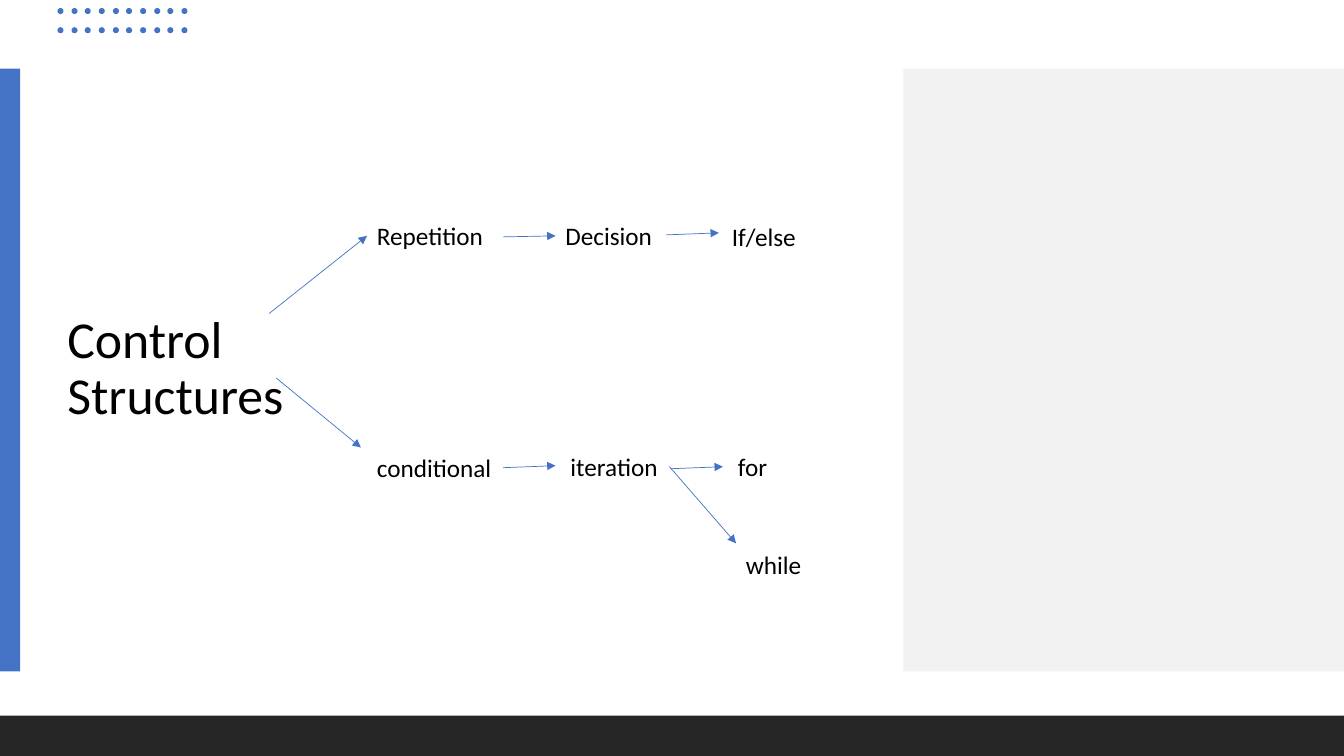
from lxml import etree
from pptx import Presentation
from pptx.dml.color import RGBColor
from pptx.enum.shapes import MSO_CONNECTOR, MSO_SHAPE
from pptx.enum.text import MSO_ANCHOR, MSO_AUTO_SIZE
from pptx.oxml.ns import qn
from pptx.util import Pt

RECT, OVAL = MSO_SHAPE.RECTANGLE, MSO_SHAPE.OVAL
STRAIGHT = MSO_CONNECTOR.STRAIGHT
TOP, MIDDLE = MSO_ANCHOR.TOP, MSO_ANCHOR.MIDDLE
GROW, FIXED = MSO_AUTO_SIZE.SHAPE_TO_FIT_TEXT, MSO_AUTO_SIZE.NONE
LEFT_SIDE, RIGHT_SIDE = 1, 3

THEME = {
    "font": "Calibri",
    "title": 37,
    "label": 18,
    "line": 0.5,
    "text": "000000",
    "accent": "4472C4",
    "footer": "262626",
    "panel": "F2F2F2",
}

SLIDE = (1333, 750)
TITLE = ("Control Structures", (57, 91, 268, 551))
BANDS = [
    ("accent", (0, 68, 20, 598)),
    ("footer", (0, 710, 1333, 40)),
    ("panel", (896, 68, 437, 598)),
]
DOTS = {"left": 57, "top": 8, "size": 6, "cols": 10, "rows": 2, "span": 123, "row_gap": 19}
LABEL_HEIGHT = 40
LABELS = {
    "Repetition": (364, 214, 127),
    "Decision": (551, 214, 107),
    "If/else": (716, 215, 84),
    "conditional": (364, 444, 135),
    "iteration": (556, 443, 108),
    "for": (722, 443, 49),
    "while": (730, 540, 76),
}
ARROWS = [
    ((267, 311), (364, 235), None, "Repetition"),
    ((274, 375), (358, 444), None, None),
    ((499, 235), (551, 233), None, "Decision"),
    ((661, 233), (713, 231), None, None),
    ((499, 464), (551, 462), "conditional", None),
    ((665, 465), (717, 463), None, None),
    ((664, 463), (730, 539), "iteration", None),
]


def px(n):
    return n * 9144


def color(name):
    return RGBColor.from_string(THEME[name])


def add_block(shapes, kind, box, fill):
    s = shapes.add_shape(kind, *map(px, box))
    s.shadow.inherit = False
    s.fill.solid()
    s.fill.fore_color.rgb = color(fill)
    s.line.fill.background()


def add_text(shapes, text, box, size, wrap, anchor, fit):
    s = shapes.add_textbox(*map(px, box))
    tf = s.text_frame
    tf.word_wrap = wrap
    tf.vertical_anchor = anchor
    tf.auto_size = fit
    p = tf.paragraphs[0]
    p.text = text
    p.font.name = THEME["font"]
    p.font.size = Pt(THEME[size])
    p.font.color.rgb = color("text")
    return s


def add_arrow(shapes, start, end, source, target):
    s = shapes.add_connector(STRAIGHT, *map(px, start + end))
    s.line.color.rgb = color("accent")
    s.line.width = Pt(THEME["line"])
    ln = s.line._get_or_add_ln()
    etree.SubElement(ln, qn("a:tailEnd"), type="triangle")
    etree.SubElement(s._element.spPr, qn("a:effectLst"))
    if source:
        s.begin_connect(source, RIGHT_SIDE)
    if target:
        s.end_connect(target, LEFT_SIDE)


def main():
    prs = Presentation()
    prs.slide_width, prs.slide_height = map(px, SLIDE)
    shapes = prs.slides.add_slide(prs.slide_layouts[6]).shapes

    text, box = TITLE
    title = add_text(shapes, text, box, "title", True, MIDDLE, FIXED)
    title.text_frame.paragraphs[0].line_spacing = 0.9

    dots = shapes.add_group_shape().shapes
    for row in range(DOTS["rows"]):
        for col in range(DOTS["cols"]):
            x = DOTS["left"] + round(col * DOTS["span"] / (DOTS["cols"] - 1))
            y = DOTS["top"] + row * DOTS["row_gap"]
            add_block(dots, OVAL, (x, y, DOTS["size"], DOTS["size"]), "accent")

    for fill, box in BANDS:
        add_block(shapes, RECT, box, fill)

    labels = {None: None}
    for text, place in LABELS.items():
        box = (*place, LABEL_HEIGHT)
        labels[text] = add_text(shapes, text, box, "label", False, TOP, GROW)

    for start, end, source, target in ARROWS:
        add_arrow(shapes, start, end, labels[source], labels[target])

    prs.save("out.pptx")


if __name__ == "__main__":
    main()
